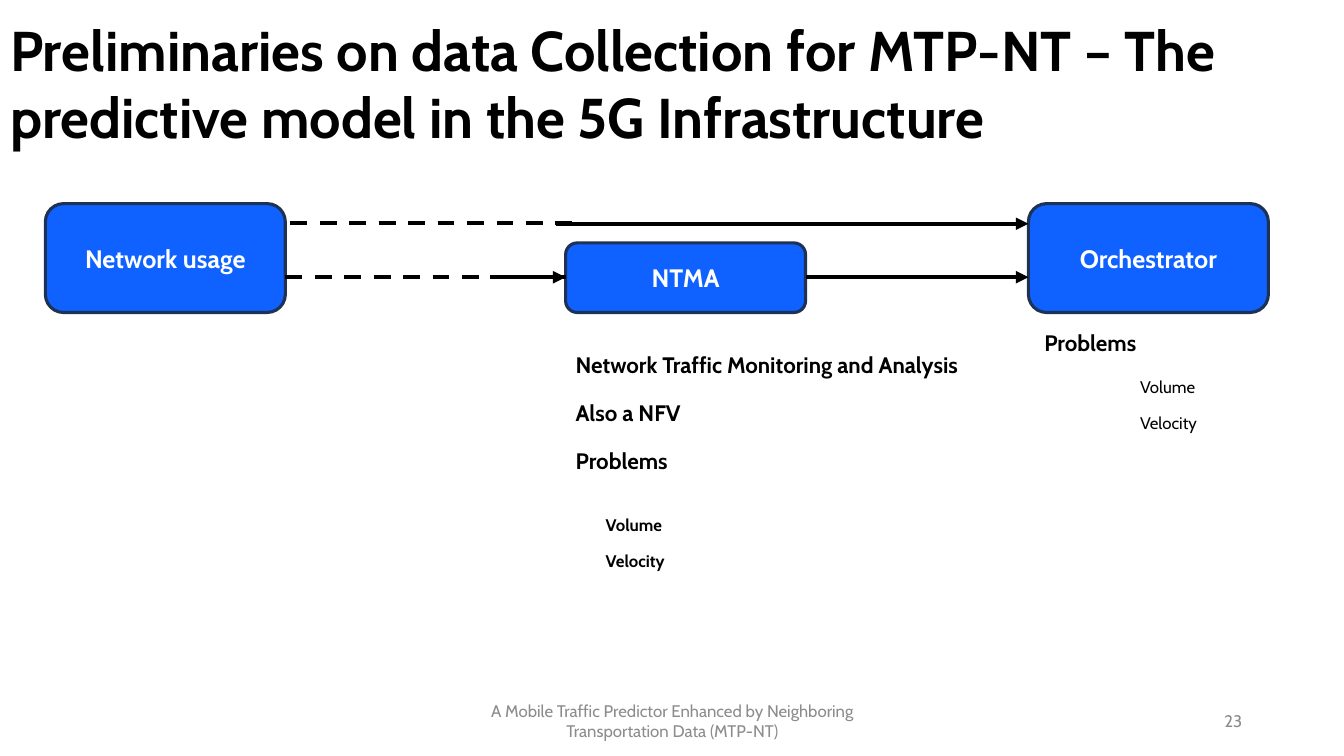
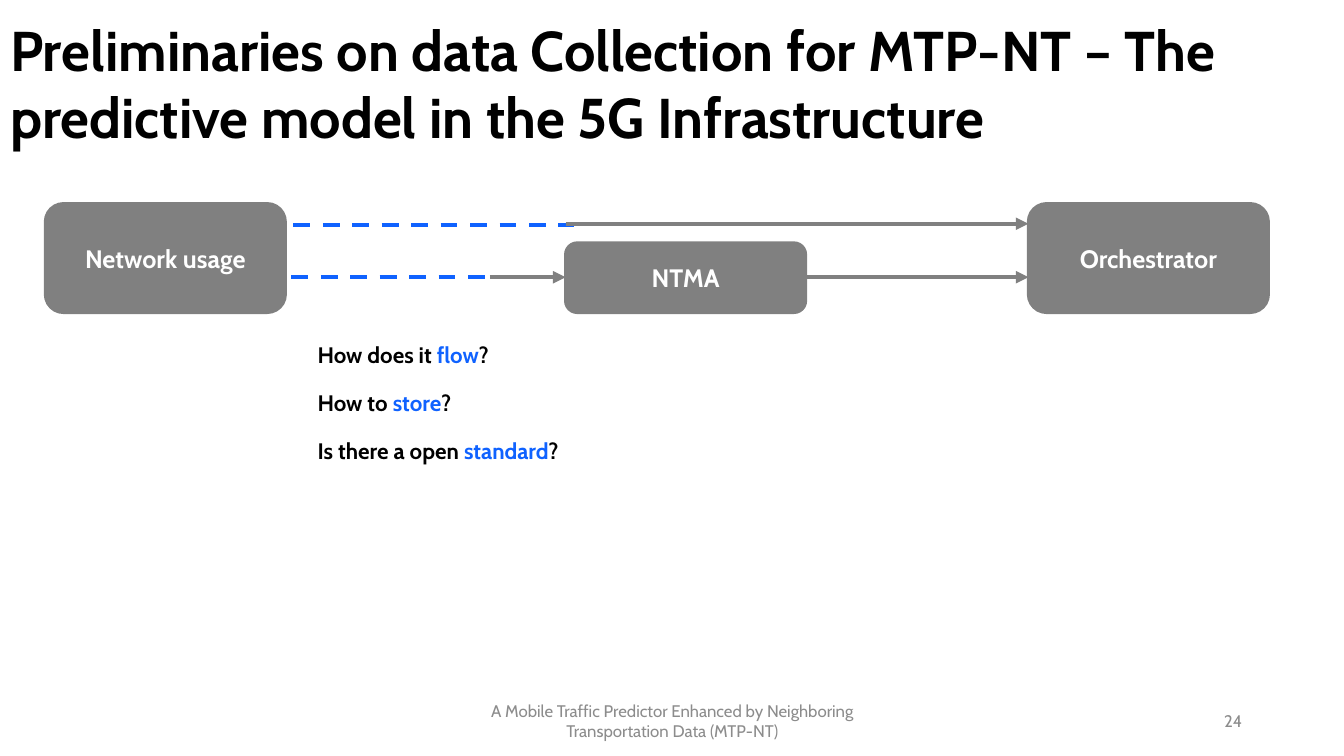
"""Build two slides on data collection for the MTP-NT model."""
from dataclasses import dataclass

from lxml import etree
from pptx import Presentation
from pptx.dml.color import RGBColor
from pptx.enum.dml import MSO_LINE
from pptx.enum.shapes import MSO_CONNECTOR, MSO_SHAPE
from pptx.enum.text import MSO_ANCHOR, MSO_AUTO_SIZE, PP_ALIGN
from pptx.oxml.ns import qn
from pptx.util import Inches, Pt

LEFT, CENTER, RIGHT = PP_ALIGN.LEFT, PP_ALIGN.CENTER, PP_ALIGN.RIGHT
TOP, MIDDLE = MSO_ANCHOR.TOP, MSO_ANCHOR.MIDDLE
ROUNDED = MSO_SHAPE.ROUNDED_RECTANGLE
STRAIGHT = MSO_CONNECTOR.STRAIGHT
DASH = MSO_LINE.DASH


@dataclass(frozen=True)
class Theme:
    font: str = "Cabin"
    black: str = "000000"
    white: str = "FFFFFF"
    blue: str = "0F62FF"
    navy: str = "1E3256"
    gray: str = "808080"
    muted: str = "8C8C8C"
    title: int = 40
    box: int = 18
    note: int = 16
    small: int = 12
    outline: float = 2.25
    arrow: int = 3


T = Theme()
TITLE = ("Preliminaries on data Collection for MTP-NT – The predictive model "
         "in the 5G Infrastructure")
FOOTER = "A Mobile Traffic Predictor Enhanced by Neighboring Transportation Data (MTP-NT)"
BOX_W, BOX_BOTTOM = 2.38, 3.1
USAGE_X, NTMA_X, ORCH_X = 0.45, 5.61, 10.2
BOXES = [("Network usage", USAGE_X, 1.08), ("NTMA", NTMA_X, 0.69),
         ("Orchestrator", ORCH_X, 1.08)]
DIRECT_Y, NTMA_Y = 2.22, 2.75
PROBLEMS = ["Volume", "Velocity"]
SLIDES = [
    {
        "number": "23",
        "fill": T.blue, "outline": T.navy, "arrow": T.black, "dash": T.black,
        "direct_x": 5.51,
        "dashes": [(2.83, 5.61, NTMA_Y), (2.88, 5.67, 2.21)],
        "body": (5.61, 3.46, ["Network Traffic Monitoring and Analysis",
                              "Also a NFV", "Problems"]),
        "notes": [(5.91, 5.08, 4.36, T.small, True, PROBLEMS),
                  (10.26, 3.25, 2.5, T.note, True, ["Problems"]),
                  (11.21, 3.71, 2, T.small, False, PROBLEMS)],
    },
    {
        "number": "24",
        "fill": T.gray, "outline": T.gray, "arrow": T.gray, "dash": T.blue,
        "direct_x": 5.61,
        "dashes": [(2.89, 5.01, NTMA_Y), (2.91, 5.69, 2.23)],
        "body": (3.05, 3.36, [("How does it ", "flow", "?"),
                              ("How to ", "store", "?"),
                              ("Is there a open ", "standard", "?")]),
        "notes": [],
    },
]


def rgb(color):
    return RGBColor.from_string(color)


def place(sp, x, y, w, h):
    sp.left, sp.top, sp.width, sp.height = map(Inches, (x, y, w, h))


def write(sp, lines, size, color=T.black, bold=False, align=LEFT, anchor=TOP,
          spacing=1.0):
    tf = sp.text_frame
    tf.word_wrap = True
    tf.auto_size = MSO_AUTO_SIZE.NONE
    tf.vertical_anchor = anchor
    for i, line in enumerate(lines):
        p = tf.add_paragraph() if i else tf.paragraphs[0]
        p.alignment = align
        p.line_spacing = spacing
        p.space_before = Pt(size * 1.08 if i else 0)
        runs = (line,) if isinstance(line, str) else line
        for j, text in enumerate(runs):
            r = p.add_run()
            r.text = text
            r.font.name, r.font.size, r.font.bold = T.font, Pt(size), bold
            r.font.color.rgb = rgb(T.blue if j % 2 else color)


def add_text(slide, x, y, w, h, lines, size, **style):
    sp = slide.shapes.add_textbox(*map(Inches, (x, y, w, h)))
    write(sp, lines, size, **style)


def add_box(slide, label, x, h, fill, outline):
    sp = slide.shapes.add_shape(
        ROUNDED, *map(Inches, (x, BOX_BOTTOM - h, BOX_W, h)))
    sp.shadow.inherit = False
    sp.fill.solid()
    sp.fill.fore_color.rgb = rgb(fill)
    sp.line.color.rgb = rgb(outline)
    sp.line.width = Pt(T.outline)
    write(sp, [label], T.box, T.white, True, CENTER, MIDDLE)


def add_line(slide, x1, x2, y, color, dashed=False):
    cx = slide.shapes.add_connector(STRAIGHT, *map(Inches, (x1, y, x2, y)))
    cx.line.color.rgb = rgb(color)
    cx.line.width = Pt(T.arrow)
    if dashed:
        cx.line.dash_style = DASH
    else:
        ln = cx.line._get_or_add_ln()
        etree.SubElement(ln, qn("a:tailEnd"), type="triangle")
    etree.SubElement(cx._element.spPr, qn("a:effectLst"))


def add_body(sp, x, y, lines):
    place(sp, x, y, 4.36, 1.59)
    write(sp, lines, T.note, bold=True, spacing=0.9)
    for p in sp.text_frame.paragraphs:
        pPr = p._p.get_or_add_pPr()
        pPr.set("marL", "0")
        pPr.set("indent", "0")
        etree.SubElement(pPr, qn("a:buNone"))


def add_frame(slide, number):
    title = slide.shapes.title
    place(title, 0, 0.11, 13.18, 1.42)
    write(title, [TITLE], T.title, bold=True, anchor=MIDDLE)
    for x, w, text, align in ((4.42, 4.5, FOOTER, CENTER),
                              (9.42, 3, number, RIGHT)):
        add_text(slide, x, 6.95, w, 0.4, [text], T.small, color=T.muted,
                 align=align, anchor=MIDDLE)


def build_slide(prs, data):
    slide = prs.slides.add_slide(prs.slide_layouts[1])
    add_frame(slide, data["number"])
    add_body(slide.placeholders[1], *data["body"])
    for label, x, h in BOXES:
        add_box(slide, label, x, h, data["fill"], data["outline"])
    for x1, x2, y in data["dashes"]:
        add_line(slide, x1, x2, y, data["dash"], dashed=True)
    for x1, x2, y in ((4.86, NTMA_X, NTMA_Y),
                      (NTMA_X + BOX_W, ORCH_X, NTMA_Y),
                      (data["direct_x"], ORCH_X, DIRECT_Y)):
        add_line(slide, x1, x2, y, data["arrow"])
    for x, y, w, size, bold, lines in data["notes"]:
        add_text(slide, x, y, w, 1.59, lines, size, bold=bold, spacing=0.9)


def main():
    prs = Presentation()
    prs.slide_width, prs.slide_height = Inches(13.33), Inches(7.5)
    for data in SLIDES:
        build_slide(prs, data)
    prs.save("out.pptx")


if __name__ == "__main__":
    main()
